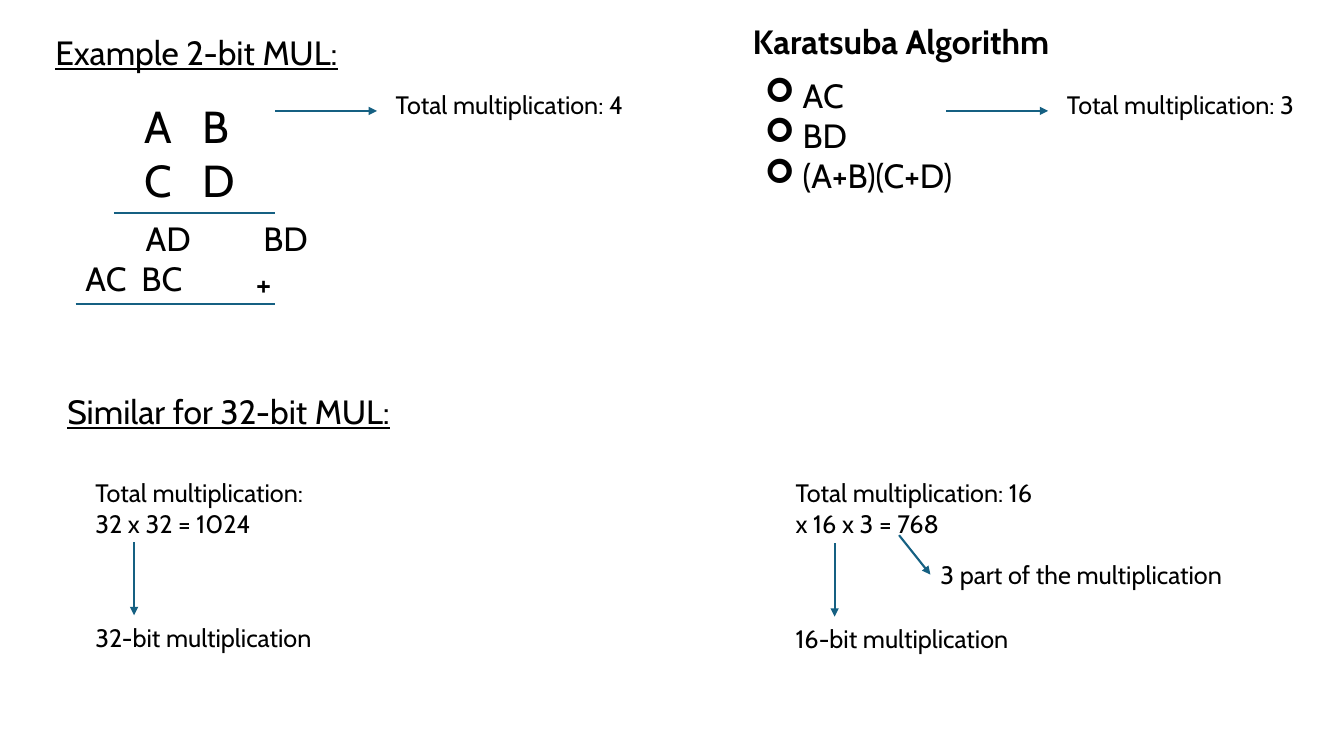
from lxml import etree
from pptx import Presentation
from pptx import util as u
from pptx.dml import color
from pptx.enum import shapes, text
from pptx.oxml import ns

COLORS = {"ink": "000000", "rule": "156082", "paper": "FFFFFF"}


class Board:
    """Holds the style and the slide, and draws each kind of element."""

    font = "Cabin"
    rule_width = 1.5

    def __init__(self, slide):
        self.slide = slide
        fill = slide.background.fill
        fill.solid()
        fill.fore_color.rgb = self.color("paper")

    def color(self, key):
        return color.RGBColor.from_string(COLORS[key])

    def add_xml(self, parent, tag, **values):
        return etree.SubElement(parent, ns.qn(tag), values)

    def label(self, left, top, width, height, *lines, size=18, indents=(), tabs=(), bullet=None, **style):
        box = self.slide.shapes.add_textbox(*map(u.Pt, (left, top, width, height)))
        frame = box.text_frame
        frame.word_wrap = True
        frame.auto_size = text.MSO_AUTO_SIZE.SHAPE_TO_FIT_TEXT
        for index, line in enumerate(lines):
            paragraph = frame.paragraphs[0] if index == 0 else frame.add_paragraph()
            run = paragraph.add_run()
            run.text = line
            run.font.color.rgb = self.color("ink")
            for name, value in {"name": self.font, "size": u.Pt(size), **style}.items():
                setattr(run.font, name, value)
            properties = paragraph._p.get_or_add_pPr()
            if indents:
                properties.set("marL", str(u.Pt(indents[index])))
            if bullet:
                properties.set("indent", str(-u.Pt(indents[index])))
                self.add_xml(properties, "a:buFont", typeface="Wingdings")
                self.add_xml(properties, "a:buChar", char=bullet)
            if tabs:
                stops = self.add_xml(properties, "a:tabLst")
                self.add_xml(stops, "a:tab", pos=str(u.Pt(tabs[index])), algn="l")

    def rule(self, x1, y1, x2, y2, arrow=False):
        line = self.slide.shapes.add_connector(
            shapes.MSO_CONNECTOR.STRAIGHT, *map(u.Pt, (x1, y1, x2, y2)))
        line.line.color.rgb = self.color("rule")
        line.line.width = u.Pt(self.rule_width)
        if arrow:
            self.add_xml(line.line._get_or_add_ln(), "a:tailEnd", type="triangle")
        self.add_xml(line._element.spPr, "a:effectLst")

    def total(self, left, count):
        self.rule(left, 79.2, left + 72.7, 79.2, arrow=True)
        self.label(left + 79, 60.5, 184.3, 29, f"Total multiplication: {count}")

    def bit_count(self, left, sum_text, arrow_x, arrow_top, bits):
        self.label(left, 337.7, 184.3, 51, f"Total multiplication: {sum_text}")
        self.rule(arrow_x, arrow_top, arrow_x, arrow_top + 52.3, arrow=True)
        self.label(left, arrow_top + 53.5, 247.7, 29, f"{bits}-bit multiplication")


def main():
    deck = Presentation()
    deck.slide_width, deck.slide_height = u.Pt(960), u.Pt(540)
    board = Board(deck.slides.add_slide(deck.slide_layouts[6]))

    board.label(32.4, 19.4, 224.6, 36, "Example 2-bit MUL:", size=24, underline=True)
    board.label(95.8, 67, 115.2, 85, "A\tB", "C\tD", size=32, tabs=(42, 42))
    board.rule(81.4, 151.9, 196.6, 151.9)
    board.label(54, 151.9, 184.3, 65.5, "AD\tBD", "AC\tBC", size=24, indents=(43, 0), tabs=(86, 40))
    board.label(175.7, 184.3, 41, 36, "+", size=24)
    board.rule(54, 217.4, 196.6, 217.4)
    board.total(196.6, 4)

    board.label(530.6, 11.5, 241.9, 36, "Karatsuba Algorithm", size=24, bold=True)
    board.label(539.3, 49.7, 184.3, 94.3, "AC", "BD", "(A+B)(C+D)",
                size=24, indents=(27, 27, 27), bullet="➢")
    board.total(676, 3)

    board.label(41, 275.8, 288.7, 36, "Similar for 32-bit MUL:", size=24, underline=True)
    board.bit_count(61, "32 x 32 = 1024", 95.8, 387.2, 32)
    board.bit_count(561.2, "16 x 16 x 3 = 768", 596.2, 388.2, 16)
    board.rule(642.2, 382.3, 664.6, 410.4, arrow=True)
    board.label(664.6, 396, 247.7, 29, "3 part of the multiplication")

    deck.save("out.pptx")


if __name__ == "__main__":
    main()
